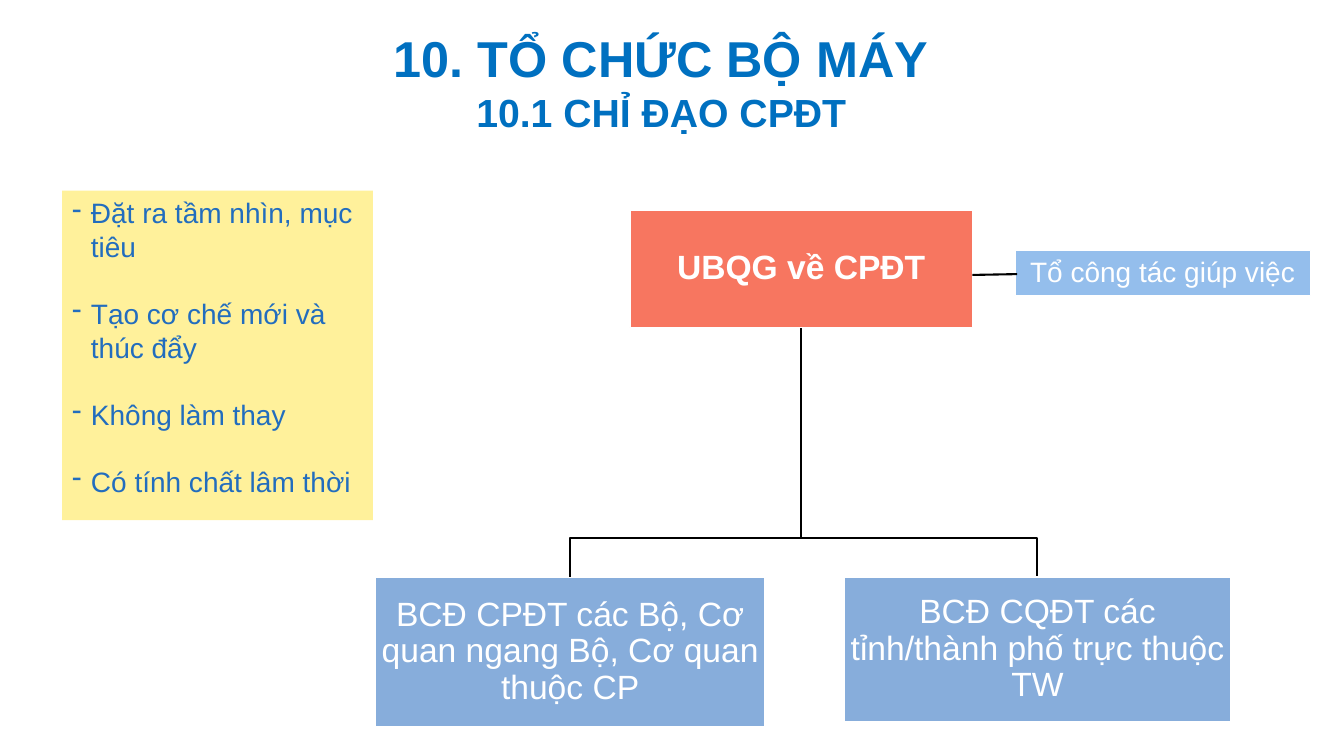
from dataclasses import dataclass

from lxml.etree import SubElement
from pptx import Presentation
from pptx.dml.color import RGBColor
from pptx.enum.shapes import MSO_CONNECTOR as Connector
from pptx.enum.shapes import MSO_SHAPE as Preset
from pptx.enum.text import MSO_ANCHOR as Anchor
from pptx.enum.text import PP_ALIGN as Align
from pptx.oxml.ns import qn
from pptx.slide import Slide
from pptx.util import Pt

WHITE = RGBColor(0xFF, 0xFF, 0xFF)
BLACK = RGBColor(0x00, 0x00, 0x00)
TITLE_BLUE = RGBColor(0x00, 0x70, 0xC0)
TASK_BLUE = RGBColor(0x22, 0x6D, 0xBE)
CORAL = RGBColor(0xF7, 0x76, 0x60)
BOARD_BLUE = RGBColor(0x87, 0xAD, 0xDB)
TEAM_BLUE = RGBColor(0x94, 0xBE, 0xEC)
YELLOW = RGBColor(0xFF, 0xF1, 0x9B)


@dataclass
class OrganisationSlide:
    slide: Slide
    font: str = "Arial"
    line_width: float = 1.5
    box_inset: float = 1.2
    bullet_indent: float = 13.5

    def style(self, paragraph, size, color, bold=False, align=Align.CENTER):
        paragraph.alignment = align
        for run in paragraph.runs:
            run.font.name = self.font
            run.font.size = Pt(size)
            run.font.bold = bold
            run.font.color.rgb = color

    def draw_line(self, shape):
        shape.line.color.rgb = BLACK
        shape.line.width = Pt(self.line_width)

    def title(self, frame, lines):
        shape = self.slide.shapes.add_textbox(*map(Pt, frame))
        text_frame = shape.text_frame
        text_frame.word_wrap = True
        text_frame.vertical_anchor = Anchor.MIDDLE
        text_frame.text = "\n".join(text for text, size in lines)
        for paragraph, (text, size) in zip(text_frame.paragraphs, lines):
            self.style(paragraph, size, TITLE_BLUE, bold=True)

    def rectangle(self, frame, fill):
        shape = self.slide.shapes.add_shape(Preset.RECTANGLE, *map(Pt, frame))
        shape.shadow.inherit = False
        shape.fill.solid()
        shape.fill.fore_color.rgb = fill
        shape.text_frame.word_wrap = True
        return shape

    def box(self, frame, fill, text, size=24, bold=False):
        shape = self.rectangle(frame, fill)
        shape.line.color.rgb = WHITE
        shape.line.width = Pt(1)
        text_frame = shape.text_frame
        text_frame.margin_left = text_frame.margin_right = Pt(self.box_inset)
        text_frame.margin_top = text_frame.margin_bottom = Pt(self.box_inset)
        text_frame.vertical_anchor = Anchor.MIDDLE
        text_frame.text = text
        paragraph = text_frame.paragraphs[0]
        paragraph.line_spacing = 0.9
        self.style(paragraph, size, WHITE, bold)

    def bullet_box(self, frame, fill, items):
        shape = self.rectangle(frame, fill)
        shape.line.fill.background()
        text_frame = shape.text_frame
        text_frame.vertical_anchor = Anchor.TOP
        text_frame.text = "\n".join(items)
        for paragraph in text_frame.paragraphs:
            self.style(paragraph, 20, TASK_BLUE, align=Align.LEFT)
            paragraph.space_before = paragraph.space_after = Pt(12)
            properties = paragraph._p.get_or_add_pPr()
            properties.set("marL", str(Pt(self.bullet_indent)))
            properties.set("indent", str(-Pt(self.bullet_indent)))
            SubElement(properties, qn("a:buChar")).set("char", "-")

    def branch(self, points):
        start, *others = [(Pt(x), Pt(y)) for x, y in points]
        builder = self.slide.shapes.build_freeform(*start)
        builder.add_line_segments(others, close=False)
        shape = builder.convert_to_shape()
        shape.shadow.inherit = False
        shape.fill.background()
        self.draw_line(shape)

    def link(self, start, end):
        connector = self.slide.shapes.add_connector(
            Connector.STRAIGHT, *map(Pt, start + end))
        self.draw_line(connector)
        SubElement(connector._element.spPr, qn("a:effectLst"))


def main():
    presentation = Presentation()
    presentation.slide_width = Pt(960)
    presentation.slide_height = Pt(540)
    chart = OrganisationSlide(
        presentation.slides.add_slide(presentation.slide_layouts[6]))

    trunk_x, trunk_top, fork_y, branch_bottom = 572.2, 234, 384.2, 412
    for branch_x in (741, 407.4):
        chart.branch([(trunk_x, trunk_top), (trunk_x, fork_y),
                      (branch_x, fork_y), (branch_x, branch_bottom)])

    chart.box((450, 150, 244.6, 84), CORAL, "UBQG về CPĐT", bold=True)
    chart.box((268, 412.4, 278.6, 106.4), BOARD_BLUE,
              "BCĐ CPĐT các Bộ, Cơ quan ngang Bộ, Cơ quan thuộc CP")
    chart.box((603, 412.2, 276.2, 103), BOARD_BLUE,
              "BCĐ CQĐT các tỉnh/thành phố trực thuộc TW")
    chart.box((725, 178.8, 211, 32.4), TEAM_BLUE,
              "Tổ công tác giúp việc", size=20)
    chart.link((694.6, 196.4), (726.5, 195.8))

    chart.title((131.8, 10, 681, 96),
                [("10. TỔ CHỨC BỘ MÁY", 36), ("10.1 CHỈ ĐẠO CPĐT", 28)])
    chart.bullet_box((44.4, 136.2, 222, 235.4), YELLOW, [
        "Đặt ra tầm nhìn, mục tiêu",
        "Tạo cơ chế mới và thúc đẩy",
        "Không làm thay",
        "Có tính chất lâm thời",
    ])

    presentation.save("out.pptx")


if __name__ == "__main__":
    main()
